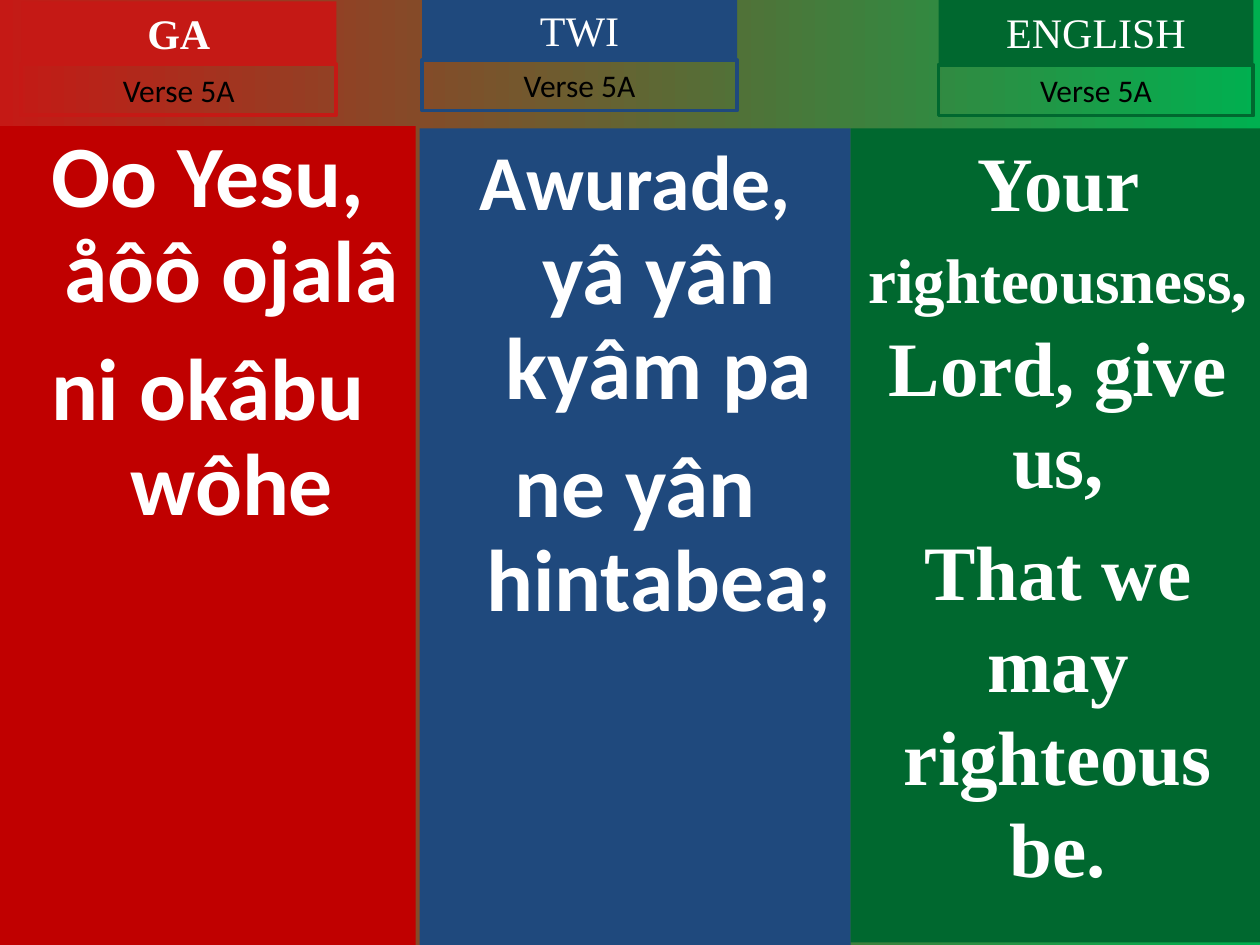
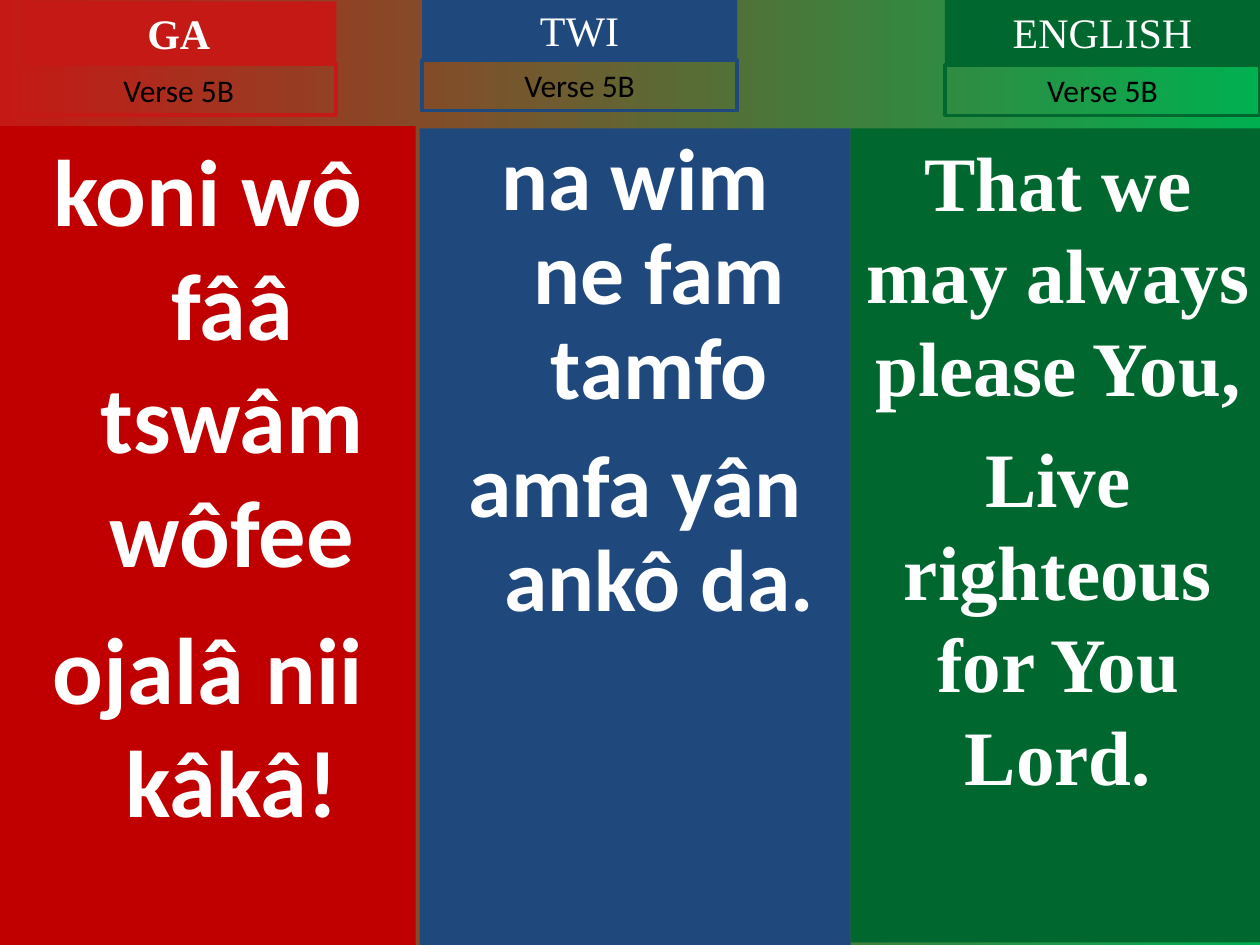
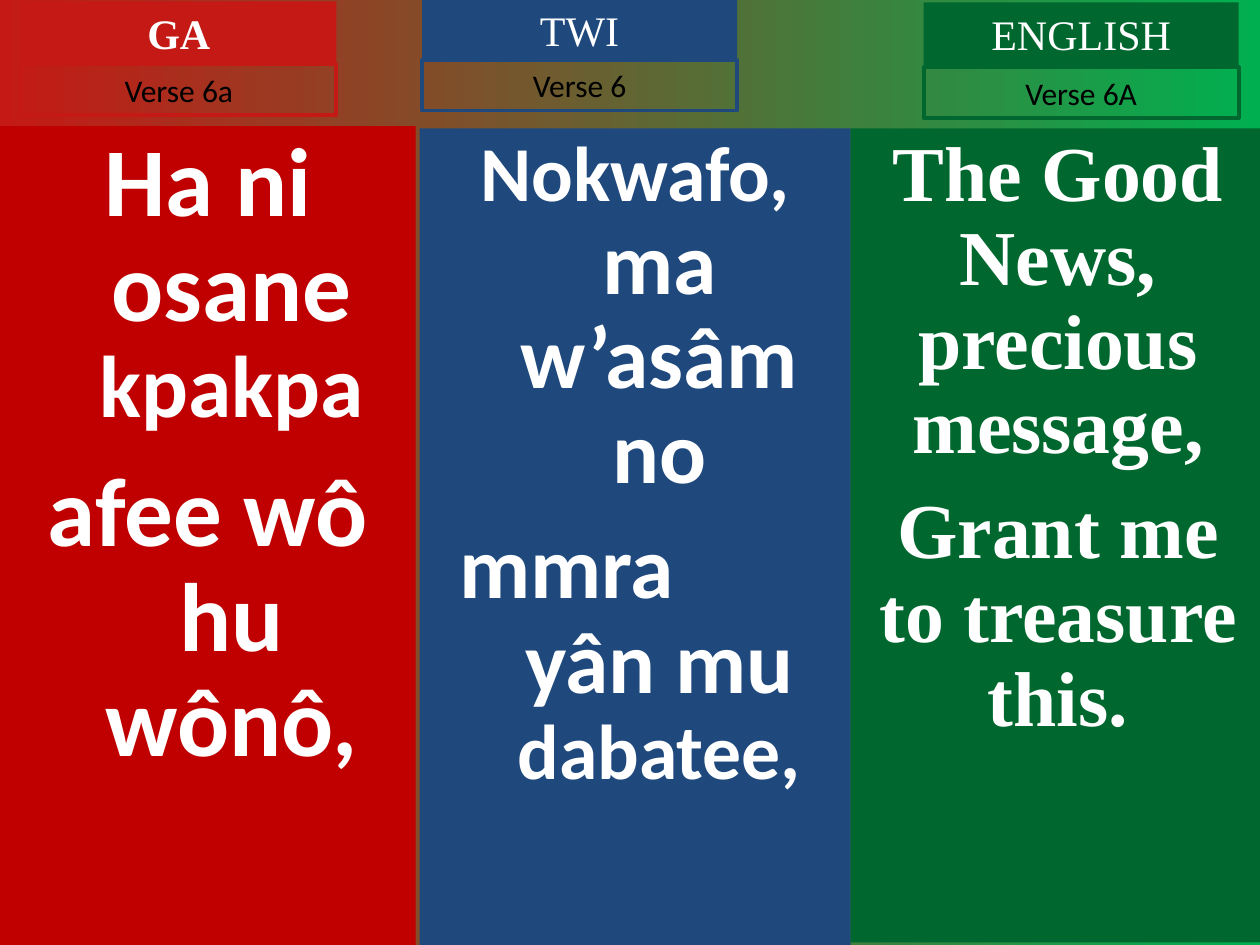
from dataclasses import dataclass

from lxml import etree
from pptx import Presentation
from pptx.dml import color
from pptx.enum import shapes, text
from pptx.oxml import ns
from pptx.util import Cm, Pt

COLORS = {
    "red": "C51915", "deep_red": "C00000", "blue": "1F497D", "green": "00682F",
    "bright_green": "00B050", "white": "FFFFFF", "black": "000000",
}
SANS, SERIF = "Calibri", "Times New Roman"
TAG_WIDTH, TAG_HEIGHT, VERSE_HEIGHT = 6.35, 1.27, 1.02
HANG = 0.97


@dataclass
class Language:
    """Look and place of one language column."""
    name: str
    tag_color: str
    panel_color: str
    panel: tuple
    tag: tuple
    verse_gap: float
    font: str = SANS
    hang: float = HANG
    bold_tag: bool = False


@dataclass
class Line:
    """One paragraph of a verse, as (text, size) runs."""
    runs: list
    before: float = 13.5
    spacing: float = 0.9
    left: float = None
    align: str = "CENTER"


GA = Language("GA", "red", "deep_red", (0, 2.54, 8.38, 16.51), (0.43, 0.03), 1.27, bold_tag=True)
TWI = Language("TWI", "blue", "blue", (8.46, 2.59, 8.69, 16.46), (8.51, -0.03), 1.24)
ENGLISH = Language("ENGLISH", "green", "green", (17.15, 2.59, 8.36, 16.41), (18.92, 0), 1.31,
                   font=SERIF, hang=0)

SLIDES = [
    {
        "labels": ("Verse 5A", "Verse 5A", "Verse 5A"),
        "english_tag": (18.92, 0),
        "ga": [Line([("Oo Yesu, åôô ojalâ", 50)]), Line([("ni okâbu wôhe", 50)])],
        "twi": [Line([("Awurade,", 44.4), (" yâ yân kyâm pa", 50)]),
                Line([("ne yân hintabea;", 50)])],
        "english": [Line([("Your ", 44), ("righteousness,", 36), (" Lord, give us,", 44)], 11, 1),
                    Line([("That we may righteous be.", 44)], 11, 1)],
    },
    {
        "labels": ("Verse 5B", "Verse 5B", "Verse 5B"),
        "english_tag": (19.05, 0),
        "ga": [Line([("koni wô fââ tswâm wôfee", 54)], spacing=1),
               Line([("ojalâ nii kâkâ!", 54)], spacing=1)],
        "twi": [Line([("na wim\nne fam tamfo", 50)]), Line([("amfa yân ankô da.", 50)])],
        "english": [Line([("That we may always please You,", 44)], 11, 1),
                    Line([("Live righteous for You Lord.", 44)], 11, 1)],
    },
    {
        "labels": ("Verse 6a", "Verse 6", "Verse 6A"),
        "english_tag": (18.62, 0.05),
        "ga": [Line([("Ha ni osane ", 55.5), ("kpakpa", 50)]),
               Line([("afee wô hu wônô,", 55.5)], 15)],
        "twi": [Line([("Nokwafo, ", 44.4), ("ma w’asâm no", 50)]),
                Line([("mmra", 50)], 12, left=0.55, align="LEFT"),
                Line([("yân mu ", 50), ("dabatee,", 44.4)], 0, left=HANG)],
        "english": [Line([("The Good News, precious message,", 44.4)], 12),
                    Line([("Grant me to treasure this.", 44.4)], 12)],
    },
]


def rgb(name):
    """Return the named colour."""
    return color.RGBColor.from_string(COLORS[name])


def place(sp, left, top, width, height):
    """Put a shape in a box given in centimetres."""
    sp.left, sp.top, sp.width, sp.height = map(Cm, (left, top, width, height))


def add_box(slide):
    """Add a plain rectangle without shadow."""
    sp = slide.shapes.add_shape(shapes.MSO_SHAPE.RECTANGLE, 0, 0, 0, 0)
    sp.shadow.inherit = False
    return sp


def paint(sp, fill=None, line=None):
    """Set the fill and outline of a shape."""
    if fill:
        sp.fill.solid()
        sp.fill.fore_color.rgb = rgb(fill)
    else:
        sp.fill.background()
    if line:
        sp.line.color.rgb = rgb(line)
        sp.line.width = Pt(2.25)
    else:
        sp.line.fill.background()


def set_frame(sp, anchor):
    """Prepare the text frame of a shape and return it."""
    tf = sp.text_frame
    tf.word_wrap = True
    tf.auto_size = text.MSO_AUTO_SIZE.NONE
    tf.vertical_anchor = anchor
    return tf


def write(p, words, size=18, font=SANS, ink="white", bold=False):
    """Add formatted words to a paragraph, breaking at newlines."""
    for i, part in enumerate(words.split("\n")):
        if i:
            p.add_line_break()
        r = p.add_run()
        r.text = part
        r.font.size, r.font.name, r.font.bold = Pt(size), font, bold
        r.font.color.rgb = rgb(ink)


def indent(p, left, first):
    """Set paragraph indents and turn bullets off."""
    pPr = p._p.get_or_add_pPr()
    pPr.set("marL", str(Cm(left)))
    pPr.set("indent", str(Cm(first)))
    etree.SubElement(pPr, ns.qn("a:buNone"))


def add_panel(sp, lang, lines):
    """Fill a column with the lines of its verse."""
    place(sp, *lang.panel)
    paint(sp, fill=lang.panel_color)
    tf = set_frame(sp, text.MSO_ANCHOR.TOP)
    for i, line in enumerate(lines):
        p = tf.add_paragraph() if i else tf.paragraphs[0]
        if line.left is None:
            indent(p, lang.hang, -lang.hang)
        else:
            indent(p, line.left, 0)
        p.alignment = getattr(text.PP_ALIGN, line.align)
        p.line_spacing = line.spacing
        p.space_before = Pt(line.before if i else 0)
        for words, size in line.runs:
            write(p, words, size=size, font=lang.font, bold=True)


def add_tag(slide, sp, lang, label, left, top):
    """Place a language name with the verse label below it."""
    verse = add_box(slide)
    place(sp, left, top, TAG_WIDTH, TAG_HEIGHT)
    place(verse, left, top + lang.verse_gap, TAG_WIDTH, VERSE_HEIGHT)
    paint(sp, fill=lang.tag_color)
    paint(verse, line=lang.tag_color)
    name_style = {"size": 24, "font": SERIF, "bold": lang.bold_tag}
    for box, words, style in ((sp, lang.name, name_style), (verse, label, {"ink": "black"})):
        p = set_frame(box, text.MSO_ANCHOR.MIDDLE).paragraphs[0]
        p.alignment = text.PP_ALIGN.CENTER
        write(p, words, **style)


def add_verse_slide(prs, verse):
    """Build one slide with the verse in three languages."""
    slide = prs.slides.add_slide(prs.slide_layouts.get_by_name("Two Content"))
    title, ga_body, twi_body = list(slide.placeholders)[:3]
    for sp in list(slide.placeholders)[3:]:
        sp.element.getparent().remove(sp.element)
    add_panel(ga_body, GA, verse["ga"])
    add_panel(twi_body, TWI, verse["twi"])
    add_panel(add_box(slide), ENGLISH, verse["english"])
    ga_label, twi_label, english_label = verse["labels"]
    add_tag(slide, title, GA, ga_label, *GA.tag)
    add_tag(slide, add_box(slide), TWI, twi_label, *TWI.tag)
    add_tag(slide, add_box(slide), ENGLISH, english_label, *verse["english_tag"])


def set_background(master):
    """Give the master its red to green gradient."""
    fill = master.background.fill
    fill.gradient()
    fill.gradient_angle = 0
    for stop, name in zip(fill.gradient_stops, ("red", "bright_green")):
        stop.color.rgb = rgb(name)


def main():
    """Build and save the presentation."""
    prs = Presentation()
    prs.slide_width, prs.slide_height = Cm(25.4), Cm(19.05)
    set_background(prs.slide_master)
    for verse in SLIDES:
        add_verse_slide(prs, verse)
    prs.save("out.pptx")


if __name__ == "__main__":
    main()
